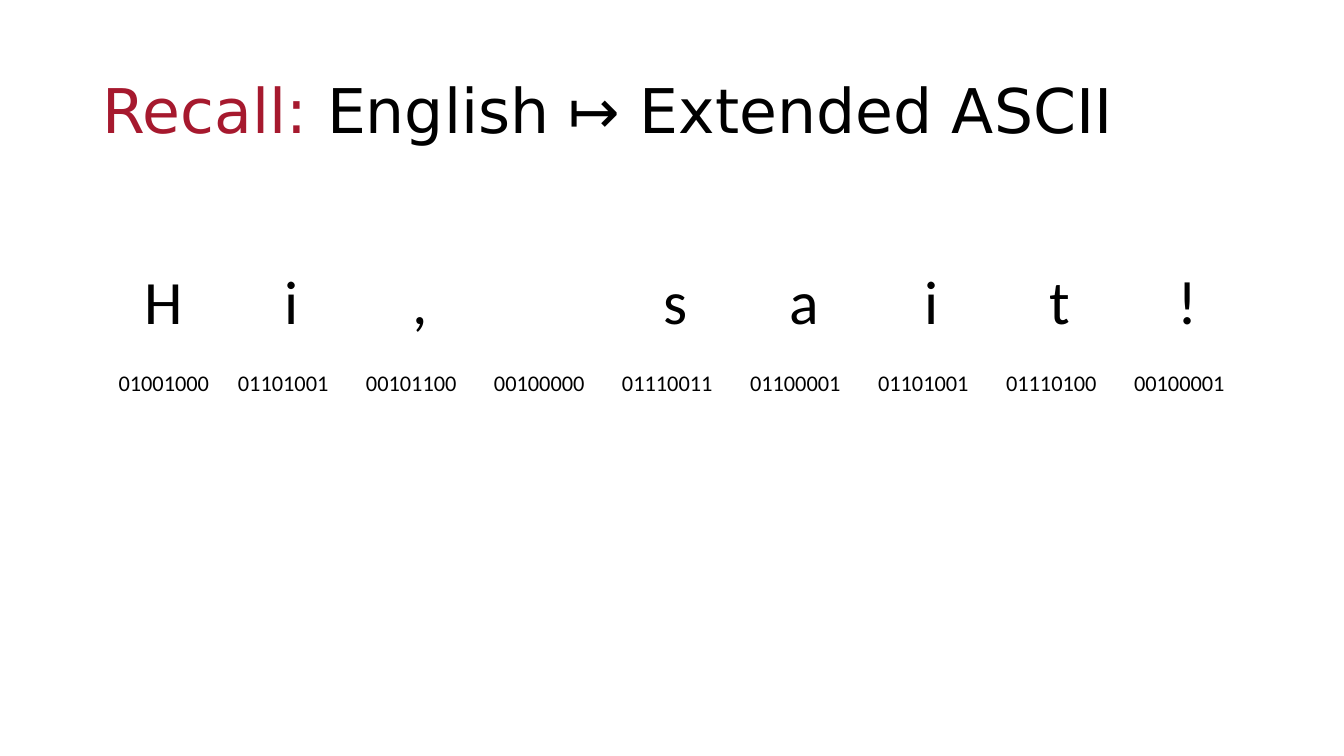
from dataclasses import dataclass

import pptx
import pptx.util
import pptx.dml.color
import pptx.enum.text

Inches = pptx.util.Inches
RGB = pptx.dml.color.RGBColor.from_string
ALIGN = pptx.enum.text.PP_ALIGN
MIDDLE = pptx.enum.text.MSO_ANCHOR.MIDDLE


@dataclass(frozen=True)
class Theme:
    accent: str = "A6192E"
    ink: str = "000000"
    title_font: str = "DejaVu Sans"
    body_font: str = "Calibri"
    large: int = 44
    small: int = 16


THEME = Theme()
MESSAGE = "Hi, sait!"


def add_run(p, text, *, size=THEME.large, font=THEME.body_font, color=THEME.ink):
    r = p.add_run()
    r.text = text
    r.font.size = pptx.util.Pt(size)
    r.font.name = font
    r.font.color.rgb = RGB(color)


def add_title(s, parts):
    sp = s.shapes.add_textbox(Inches(0.92), Inches(0.4), Inches(11.5), Inches(1.45))
    tf = sp.text_frame
    tf.word_wrap = True
    tf.vertical_anchor = MIDDLE
    p = tf.paragraphs[0]
    p.line_spacing = 0.9
    for text, color in parts:
        add_run(p, text, font=THEME.title_font, color=color)


def fill_cell(cell, text, *, size, align):
    cell.fill.background()
    cell.vertical_anchor = MIDDLE
    cell.margin_top = cell.margin_bottom = 0
    p = cell.text_frame.paragraphs[0]
    p.alignment = align
    if text:
        add_run(p, text, size=size)


def add_code_table(s, message):
    col_width, row_height = Inches(1.27), Inches(0.79)
    n = len(message)
    table = s.shapes.add_table(2, n, Inches(0.99), Inches(2.62),
                               col_width * n, row_height * 2).table
    table.first_row = table.horz_banding = False
    for row in table.rows:
        row.height = row_height
    for i, char in enumerate(message):
        table.columns[i].width = col_width
        # Character above its eight-bit code
        fill_cell(table.cell(0, i), char.strip(), size=THEME.large, align=ALIGN.CENTER)
        fill_cell(table.cell(1, i), format(ord(char), "08b"), size=THEME.small,
                  align=ALIGN.LEFT if i else ALIGN.CENTER)


def main():
    prs = pptx.Presentation()
    prs.slide_width, prs.slide_height = Inches(13.33), Inches(7.5)
    s = prs.slides.add_slide(prs.slide_layouts[6])

    # Heading
    add_title(s, [("Recall: ", THEME.accent), ("English ↦ Extended ASCII", THEME.ink)])

    # Characters and codes
    add_code_table(s, MESSAGE)

    prs.save("out.pptx")


if __name__ == "__main__":
    main()
